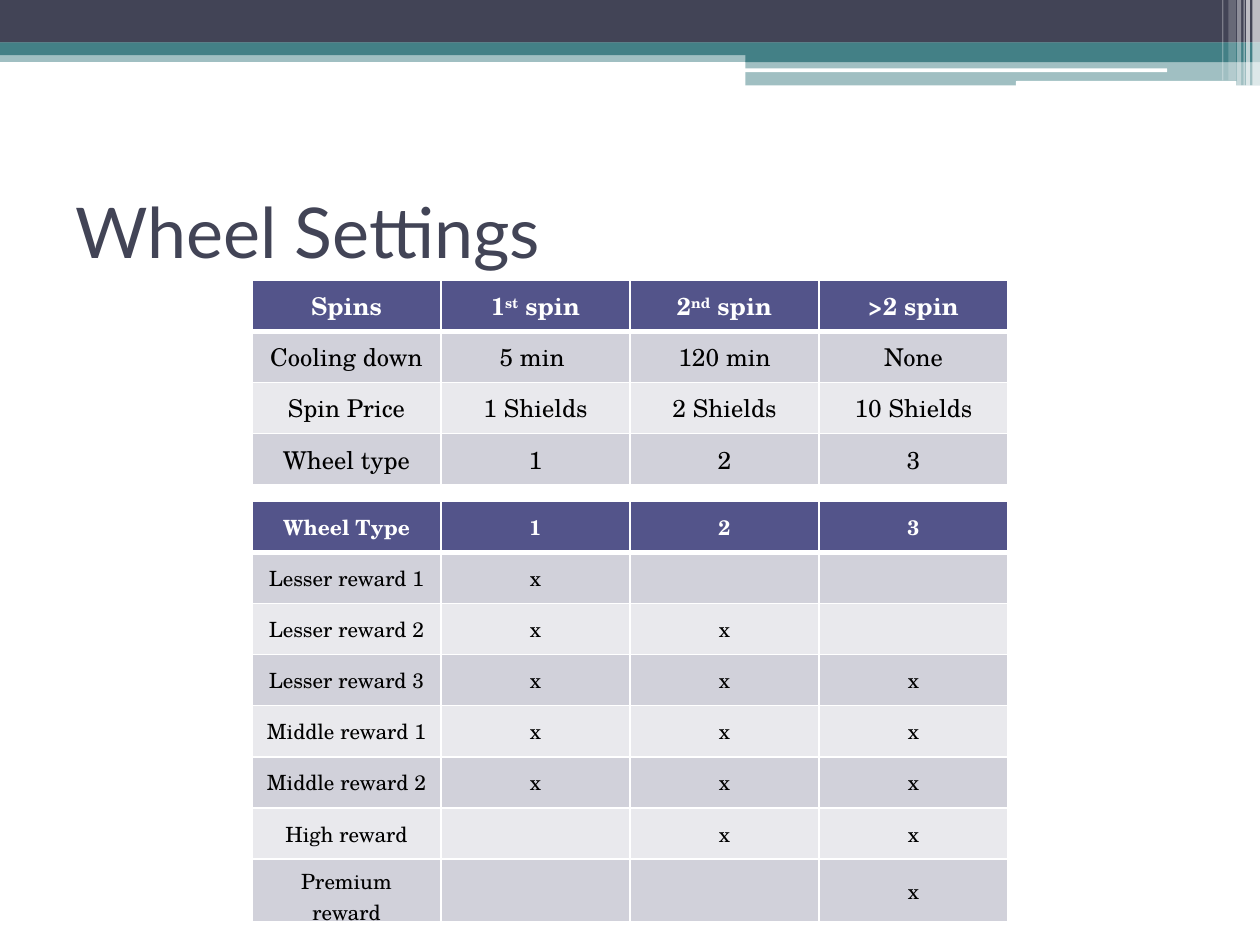
import pptx
import pptx.util
import pptx.dml.color
import pptx.enum.shapes
import pptx.enum.text
import pptx.oxml.ns
import lxml.etree

Pt = pptx.util.Pt
RGBColor = pptx.dml.color.RGBColor
SHAPES = pptx.enum.shapes.MSO_SHAPE
MIDDLE = pptx.enum.text.MSO_ANCHOR.MIDDLE
CENTER = pptx.enum.text.PP_ALIGN.CENTER
qn = pptx.oxml.ns.qn

WHITE = RGBColor(0xFF, 0xFF, 0xFF)
BLACK = RGBColor(0, 0, 0)
SLATE = RGBColor(0x42, 0x44, 0x56)
TEAL = RGBColor(0x43, 0x80, 0x86)
HEADER = RGBColor(0x53, 0x54, 0x8A)
BANDS = [RGBColor(0xE9, 0xE9, 0xED), RGBColor(0xD1, 0xD1, 0xDA)]

TITLE = "Wheel Settings"
TITLE_FONT = "Lato"
TABLE_FONT = "TeX Gyre Schola"

SPINS = [
    ["Spins", ("1", "st", " spin"), ("2", "nd", " spin"), ">2 spin"],
    ["Cooling down", "5 min ", "120 min", "None"],
    ["Spin Price", "1 Shields", "2 Shields", "10 Shields"],
    ["Wheel type", "1", "2", "3"],
]
REWARDS = [
    ["Wheel Type", "1", "2", "3"],
    ["Lesser reward 1", "x", "", ""],
    ["Lesser reward 2", "x", "x", ""],
    ["Lesser reward 3", "x", "x", "x"],
    ["Middle reward 1", "x", "x", "x"],
    ["Middle reward 2", "x", "x", "x"],
    ["High reward", "", "x", "x"],
    ["Premium\nreward", "", "", "x"],
]
TABLES = [(SPINS, 160.2, 14), (REWARDS, 286.5, 12)]
TABLE_LEFT, COLUMN_WIDTH, ROW_HEIGHT = 144, 108, 29.2

BANDS_ON_TOP = [
    (SHAPES.RECTANGLE, 0, 28.8, 720, 6.6, TEAL, 50),
    (SHAPES.RECTANGLE, 0, 0, 720, 24.4, SLATE, 100),
    (SHAPES.RECTANGLE, 0, 24.3, 720, 7.2, TEAL, 100),
    (SHAPES.RECTANGLE, 426, 28.3, 294, 7.2, TEAL, 100),
    (SHAPES.RECTANGLE, 426, 34.6, 294, 14.2, TEAL, 50),
    (SHAPES.ROUNDED_RECTANGLE, 425.7, 39.1, 241.2, 2.16, WHITE, 100),
    (SHAPES.ROUNDED_RECTANGLE, 580.5, 46.3, 126, 2.88, WHITE, 100),
]
STRIPES = [
    (715.7, 4.3, 49, 65),
    (712.1, 2.2, 49, 65),
    (710.6, 0.72, 49, 60),
    (707, 2.2, 49, 40),
    (702, 4.3, 46, 20),
    (698.4, 0.72, 46, 30),
]


def add_band(slide, kind, left, top, width, height, color, opacity):
    shape = slide.shapes.add_shape(kind, Pt(left), Pt(top), Pt(width), Pt(height))
    shape.shadow.inherit = False
    shape.line.fill.background()
    shape.fill.solid()
    shape.fill.fore_color.rgb = color
    if opacity < 100:
        fill_color = shape.fill._xPr.find(".//" + qn("a:srgbClr"))
        lxml.etree.SubElement(fill_color, qn("a:alpha"), val=str(opacity * 1000))


def format_run(run, size, font, color, bold=False):
    run.font.size = Pt(size)
    run.font.name = font
    run.font.color.rgb = color
    run.font.bold = bold


def add_title(slide):
    box = slide.shapes.add_textbox(Pt(36), Pt(90), Pt(648), Pt(84))
    box.text_frame.word_wrap = True
    box.text_frame.vertical_anchor = MIDDLE
    box.text_frame.text = TITLE
    format_run(box.text_frame.paragraphs[0].runs[0], 40, TITLE_FONT, SLATE)


def set_borders(cell, top, bottom):
    properties = cell._tc.get_or_add_tcPr()
    for side, width in (("L", 1), ("R", 1), ("T", top), ("B", bottom)):
        line = lxml.etree.SubElement(properties, qn("a:ln" + side), w=str(Pt(width)))
        fill = lxml.etree.SubElement(line, qn("a:solidFill"))
        lxml.etree.SubElement(fill, qn("a:srgbClr"), val=str(WHITE))


def fill_text(cell, content, size, color, bold):
    if isinstance(content, tuple):
        paragraph = cell.text_frame.paragraphs[0]
        for part in content:
            paragraph.add_run().text = part
        paragraph.runs[1]._r.get_or_add_rPr().set("baseline", "30000")
    else:
        cell.text_frame.text = content
    for paragraph in cell.text_frame.paragraphs:
        paragraph.alignment = CENTER
        for run in paragraph.runs:
            format_run(run, size, TABLE_FONT, color, bold)
        if not paragraph.runs:
            lxml.etree.SubElement(paragraph._p, qn("a:endParaRPr"), sz=str(size * 100))


def add_table(slide, rows, top, size):
    columns = len(rows[0])
    table = slide.shapes.add_table(
        len(rows), columns, Pt(TABLE_LEFT), Pt(top),
        Pt(columns * COLUMN_WIDTH), Pt(len(rows) * ROW_HEIGHT)).table
    for column in table.columns:
        column.width = Pt(COLUMN_WIDTH)
    for row_index, row in enumerate(rows):
        table.rows[row_index].height = Pt(ROW_HEIGHT)
        is_header = row_index == 0
        for column_index, content in enumerate(row):
            cell = table.cell(row_index, column_index)
            cell.vertical_anchor = MIDDLE
            set_borders(cell, 3 if row_index == 1 else 1, 3 if is_header else 1)
            cell.fill.solid()
            cell.fill.fore_color.rgb = HEADER if is_header else BANDS[row_index % 2]
            fill_text(cell, content, size, WHITE if is_header else BLACK, is_header)


def main():
    presentation = pptx.Presentation()
    presentation.slide_width = Pt(720)
    presentation.slide_height = Pt(540)
    slide = presentation.slides.add_slide(presentation.slide_layouts[6])
    for band in BANDS_ON_TOP:
        add_band(slide, *band)
    for left, width, height, opacity in STRIPES:
        add_band(slide, SHAPES.RECTANGLE, left, 0, width, height, WHITE, opacity)
    add_title(slide)
    for rows, top, size in TABLES:
        add_table(slide, rows, top, size)
    presentation.save("out.pptx")


if __name__ == "__main__":
    main()
